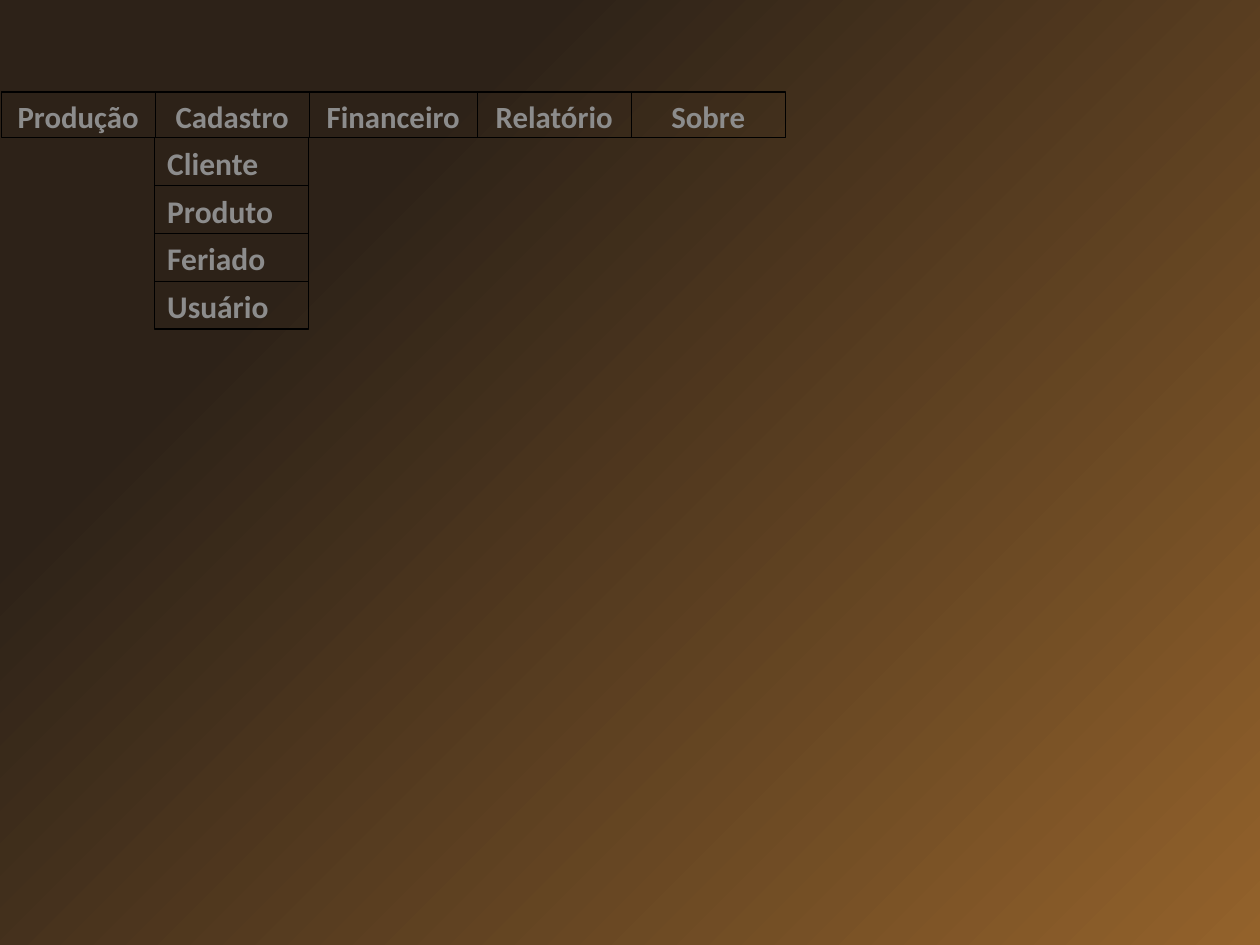
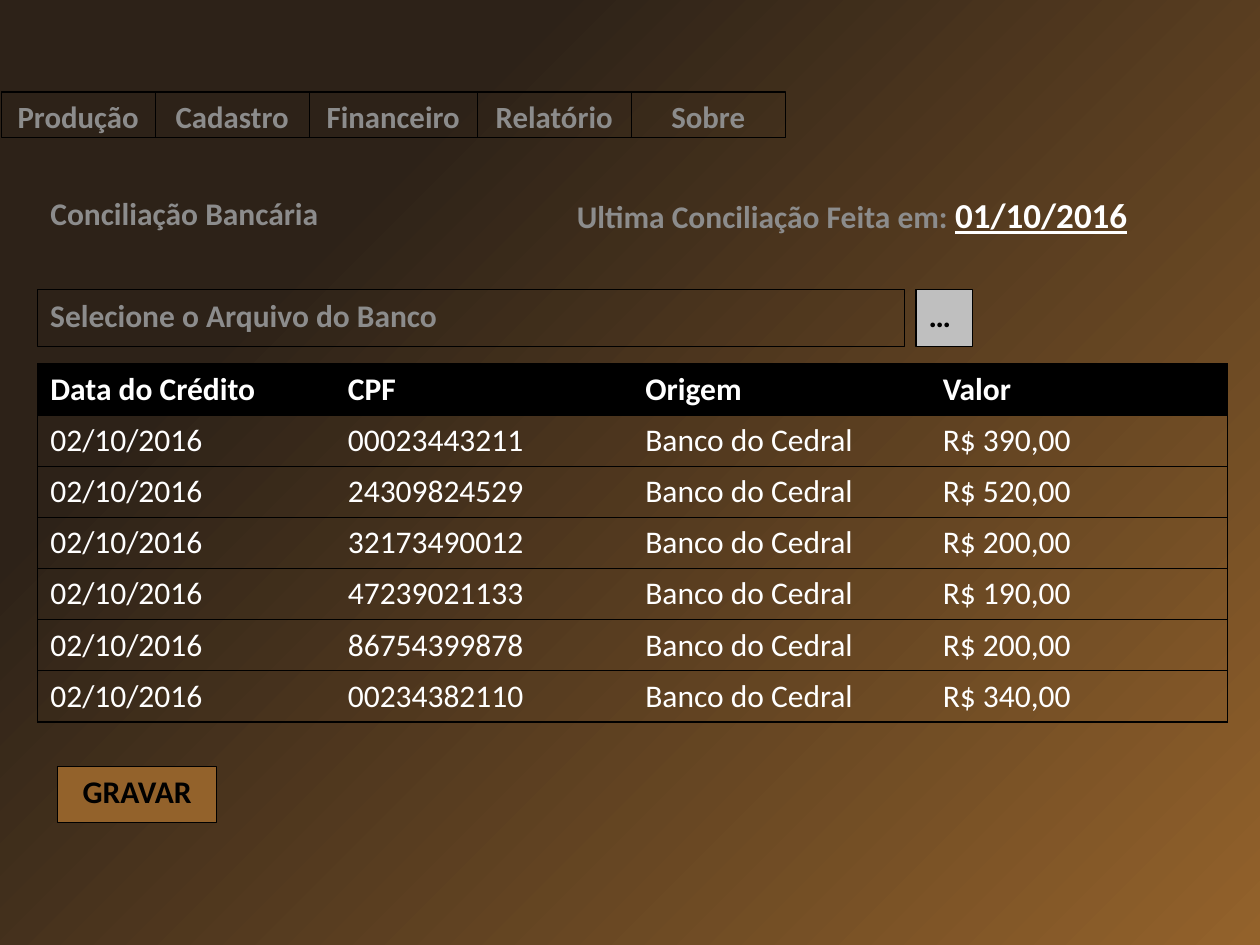
"""Build two screens of a billing system: the open menu and the bank reconciliation."""
from itertools import accumulate
from pptx import Presentation
from pptx.dml.color import RGBColor
from pptx.enum.shapes import MSO_SHAPE
from pptx.enum.text import MSO_ANCHOR, MSO_AUTO_SIZE, PP_ALIGN
from pptx.oxml import parse_xml
from pptx.oxml.ns import nsdecls, qn
from pptx.util import Pt

TABS = [("Produção", 88), ("Cadastro", 88), ("Financeiro", 96), ("Relatório", 88), ("Sobre", 88)]
MENU = ["Cliente", "Produto", "Feriado", "Usuário"]
TITLE = "Conciliação Bancária"
LAST = ("Ultima Conciliação Feita em: ", "01/10/2016")
PICK, MORE, SAVE = "Selecione o Arquivo do Banco", "…", "GRAVAR"
HEAD = ["Data do Crédito", "CPF", "Origem", "Valor"]
DAY, BANK = "02/10/2016", "Banco do Cedral"
PAID = [
    ("00023443211", "R$ 390,00"),
    ("24309824529", "R$ 520,00"),
    ("32173490012", "R$ 200,00"),
    ("47239021133", "R$ 190,00"),
    ("86754399878", "R$ 200,00"),
    ("00234382110", "R$ 340,00"),
]

FONT = "Calibri"
BLACK, WHITE, GRAY, SILVER = "000000", "FFFFFF", "8C8C8C", "BFBFBF"
GOLD, DARK = "93622B", "2D2218"
LEFT, TAB_X, TAB_Y, TAB_H = 21.6, 0.75, 52.5, 26
DROP_X, DROP_H, DROP_W = 88.5, 27.4, 88
BOX_H, COL_W, ROW_H = 32.4, 170, 29.25
NO_STYLE = "{2D5ABB26-0587-4C30-8999-92F81FD0307C}"


def color(hue):
    """Turn a hex string into a colour."""
    return RGBColor.from_string(hue)


def add_run(para, text, hue, size=18, bold=True, under=None):
    """Add one formatted run to a paragraph."""
    run = para.add_run()
    run.text = text
    font = run.font
    font.name, font.size, font.bold, font.underline = FONT, Pt(size), bold, under
    font.color.rgb = color(hue)


def set_frame(frame, align):
    """Prepare a text frame and return its first paragraph."""
    frame.word_wrap = True
    frame.auto_size = MSO_AUTO_SIZE.NONE
    frame.vertical_anchor = MSO_ANCHOR.TOP
    para = frame.paragraphs[0]
    para.alignment = align
    return para


def add_box(slide, text, spot, hue=GRAY, fill=None, align=PP_ALIGN.LEFT, size=18):
    """Add a bordered rectangle with one line of text."""
    box = slide.shapes.add_shape(MSO_SHAPE.RECTANGLE, *map(Pt, spot))
    box.shadow.inherit = False
    if fill:
        box.fill.solid()
        box.fill.fore_color.rgb = color(fill)
    else:
        box.fill.background()
    box.line.color.rgb = color(BLACK)
    box.line.width = Pt(0.75)
    add_run(set_frame(box.text_frame, align), text, hue, size)


def add_tabs(slide):
    """Add the menu bar."""
    ends = accumulate((wide for _, wide in TABS), initial=TAB_X)
    for (name, wide), x in zip(TABS, ends):
        add_box(slide, name, (x, TAB_Y, wide, TAB_H), align=PP_ALIGN.CENTER, size=17.6)


def set_edge(cell, side, shown):
    """Draw or clear one border of a cell."""
    paint = f'<a:solidFill><a:srgbClr val="{BLACK}"/></a:solidFill>' if shown else "<a:noFill/>"
    edge = parse_xml(f'<a:{side} {nsdecls("a")} w="{Pt(0.75)}">{paint}</a:{side}>')
    cell._tc.get_or_add_tcPr().append(edge)


def add_grid(slide):
    """Add the table of credits."""
    rows = [HEAD] + [(DAY, cpf, BANK, sum_) for cpf, sum_ in PAID]
    high, wide = len(rows), len(HEAD)
    spot = (LEFT, 208, COL_W * wide, ROW_H * high)
    grid = slide.shapes.add_table(high, wide, *map(Pt, spot)).table
    grid.first_row = True
    grid.horz_banding = False
    grid._tbl.tblPr.find(qn("a:tableStyleId")).text = NO_STYLE
    for r, row in enumerate(rows):
        grid.rows[r].height = Pt(ROW_H)
        for c, text in enumerate(row):
            cell = grid.cell(r, c)
            edges = {"lnL": c == 0, "lnR": c == wide - 1, "lnT": True, "lnB": True}
            for side, shown in edges.items():
                set_edge(cell, side, shown)
            if r:
                cell.fill.background()
            else:
                cell.fill.solid()
                cell.fill.fore_color.rgb = color(BLACK)
            add_run(cell.text_frame.paragraphs[0], text, WHITE, bold=r == 0)


def set_back(master):
    """Give every slide the brown gradient."""
    master.background.fill.solid()
    back = master.element.find(".//" + qn("p:bgPr"))
    stops = "".join(f'<a:gs pos="{at}"><a:srgbClr val="{hue}"/></a:gs>'
                    for at, hue in ((0, GOLD), (75000, DARK), (100000, DARK)))
    back.replace(back[0], parse_xml(
        f'<a:gradFill {nsdecls("a")} rotWithShape="1"><a:gsLst>{stops}</a:gsLst>'
        '<a:path path="circle"><a:fillToRect l="100000" t="100000"/></a:path></a:gradFill>'))


def build_menu(deck):
    """Build the screen with the open menu."""
    slide = deck.slides.add_slide(deck.slide_layouts[6])
    add_tabs(slide)
    for i, name in enumerate(MENU):
        add_box(slide, name, (DROP_X, TAB_Y + TAB_H + i * DROP_H, DROP_W, DROP_H))


def build_bank(deck):
    """Build the bank reconciliation screen."""
    slide = deck.slides.add_slide(deck.slide_layouts[5])
    title = slide.shapes.title
    title.left, title.top, title.width, title.height = map(Pt, (LEFT, 107.3, 251, BOX_H))
    add_run(set_frame(title.text_frame, PP_ALIGN.LEFT), TITLE, GRAY)
    add_tabs(slide)
    note = slide.shapes.add_textbox(*map(Pt, (322.6, 107.3, 349, BOX_H)))
    para = set_frame(note.text_frame, PP_ALIGN.LEFT)
    add_run(para, LAST[0], GRAY)
    add_run(para, LAST[1], WHITE, size=20, under=True)
    add_box(slide, PICK, (LEFT, 165.6, 495.5, BOX_H))
    add_box(slide, MORE, (523.5, 165.6, BOX_H, BOX_H), BLACK, SILVER)
    add_grid(slide)
    add_box(slide, SAVE, (33, 437.8, 90.8, BOX_H), BLACK, GOLD, PP_ALIGN.CENTER)


def main():
    """Build and save the deck."""
    deck = Presentation()
    deck.slide_width, deck.slide_height = Pt(720), Pt(540)
    set_back(deck.slide_master)
    build_menu(deck)
    build_bank(deck)
    deck.save("out.pptx")


if __name__ == "__main__":
    main()
